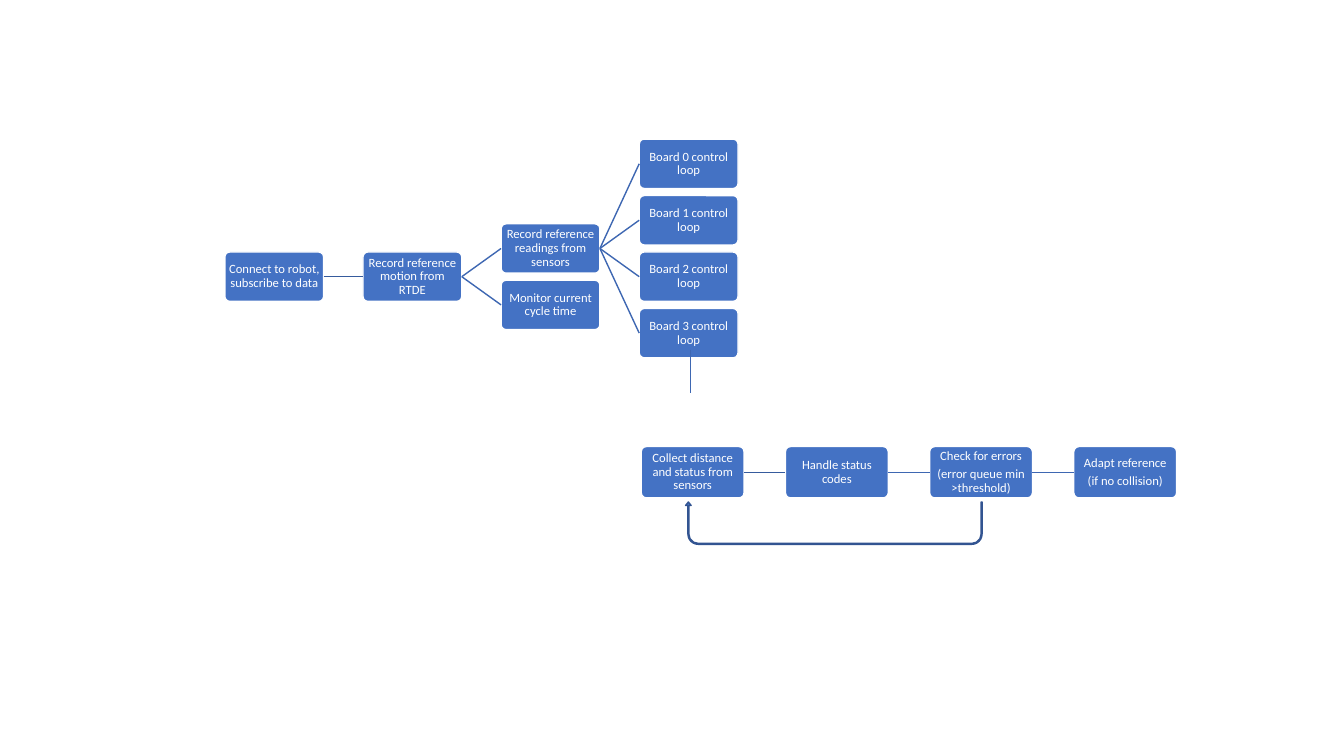
from pptx import Presentation
from pptx.dml.color import RGBColor
from pptx.enum.shapes import MSO_CONNECTOR, MSO_SHAPE
from pptx.enum.text import MSO_ANCHOR, PP_ALIGN
from pptx.oxml.ns import qn
from pptx.util import Inches, Pt
from lxml import etree

ROUND = MSO_SHAPE.ROUNDED_RECTANGLE
UTURN = MSO_SHAPE.U_TURN_ARROW
LINE = MSO_CONNECTOR.STRAIGHT
MID = MSO_ANCHOR.MIDDLE
CENTER = PP_ALIGN.CENTER
LEFT, RIGHT = 1, 3

BLUE, WHITE = "4472C4", "FFFFFF"
DARK, LINK, LOOP = "365B9D", "3E67B2", "325491"

# Each grid: left, top, column pitch, row pitch, box width, box height
SETUP = (2.23, 1.38, 1.37, 0.56, 0.98, 0.49)
CYCLE = (6.36, 4.43, 1.43, 0, 1.02, 0.51)

STEPS = [
    ["Collect distance and status from sensors"],
    ["Handle status codes"],
    ["Check for errors", "(error queue min >threshold)"],
    ["Adapt reference", "(if no collision)"],
]


def color(code):
    return RGBColor.from_string(code)


def paint(shape, edge):
    shape.shadow.inherit = False
    shape.fill.solid()
    shape.fill.fore_color.rgb = color(BLUE)
    shape.line.color.rgb = color(edge)
    shape.line.width = Pt(1)


def box(slide, grid, col, row, *texts):
    """Rounded box at a grid cell, with one paragraph per text."""
    left, top, step, drop, wide, high = grid
    shape = slide.shapes.add_shape(
        ROUND, Inches(left + col * step), Inches(top + row * drop),
        Inches(wide), Inches(high))
    shape.adjustments[0] = 0.1
    paint(shape, WHITE)
    frame = shape.text_frame
    frame.word_wrap = True
    frame.vertical_anchor = MID
    frame.margin_left = frame.margin_right = Inches(0.01)
    frame.margin_top = frame.margin_bottom = Inches(0.01)
    for i, text in enumerate(texts):
        para = frame.add_paragraph() if i else frame.paragraphs[0]
        para.alignment = CENTER
        para.line_spacing = 0.9
        para.space_after = Pt(3)
        run = para.add_run()
        run.text = text
        run.font.name = "Calibri"
        run.font.size = Pt(9)
        run.font.color.rgb = color(WHITE)
    return shape


def line(slide, code, x1=0, y1=0, x2=0, y2=0):
    link = slide.shapes.add_connector(
        LINE, Inches(x1), Inches(y1), Inches(x2), Inches(y2))
    link.line.color.rgb = color(code)
    link.line.width = Pt(1)
    etree.SubElement(link._element.spPr, qn("a:effectLst"))
    return link


def join(slide, start, end, code=LINK):
    """Line from the right side of one box to the left side of another."""
    link = line(slide, code)
    link.begin_connect(start, RIGHT)
    link.end_connect(end, LEFT)


def setup(slide):
    connect = box(slide, SETUP, 0, 2, "Connect to robot, subscribe to data")
    motion = box(slide, SETUP, 1, 2, "Record reference motion from RTDE")
    sensors = box(slide, SETUP, 2, 1.5,
                  "Record reference readings from sensors")
    monitor = box(slide, SETUP, 2, 2.5, "Monitor current cycle time")
    join(slide, connect, motion, DARK)
    join(slide, motion, sensors)
    join(slide, motion, monitor)
    for row in range(4):
        board = box(slide, SETUP, 3, row, f"Board {row} control loop")
        join(slide, sensors, board)


def cycle(slide):
    steps = [box(slide, CYCLE, i, 0, *texts) for i, texts in enumerate(STEPS)]
    for i, (start, end) in enumerate(zip(steps, steps[1:])):
        join(slide, start, end, LINK if i else DARK)
    back = slide.shapes.add_shape(
        UTURN, Inches(6.8), Inches(4.98), Inches(2.94), Inches(0.42))
    back.rotation = 180
    for i, value in enumerate([0.022, 0.065, 0.082, 0.242, 1]):
        back.adjustments[i] = value
    paint(back, LOOP)


def main():
    deck = Presentation()
    deck.slide_width, deck.slide_height = Inches(13.33), Inches(7.5)
    slide = deck.slides.add_slide(deck.slide_layouts[6])
    setup(slide)
    cycle(slide)
    line(slide, LINK, 6.85, 3.47, 6.85, 3.9)
    deck.save("out.pptx")


if __name__ == "__main__":
    main()
